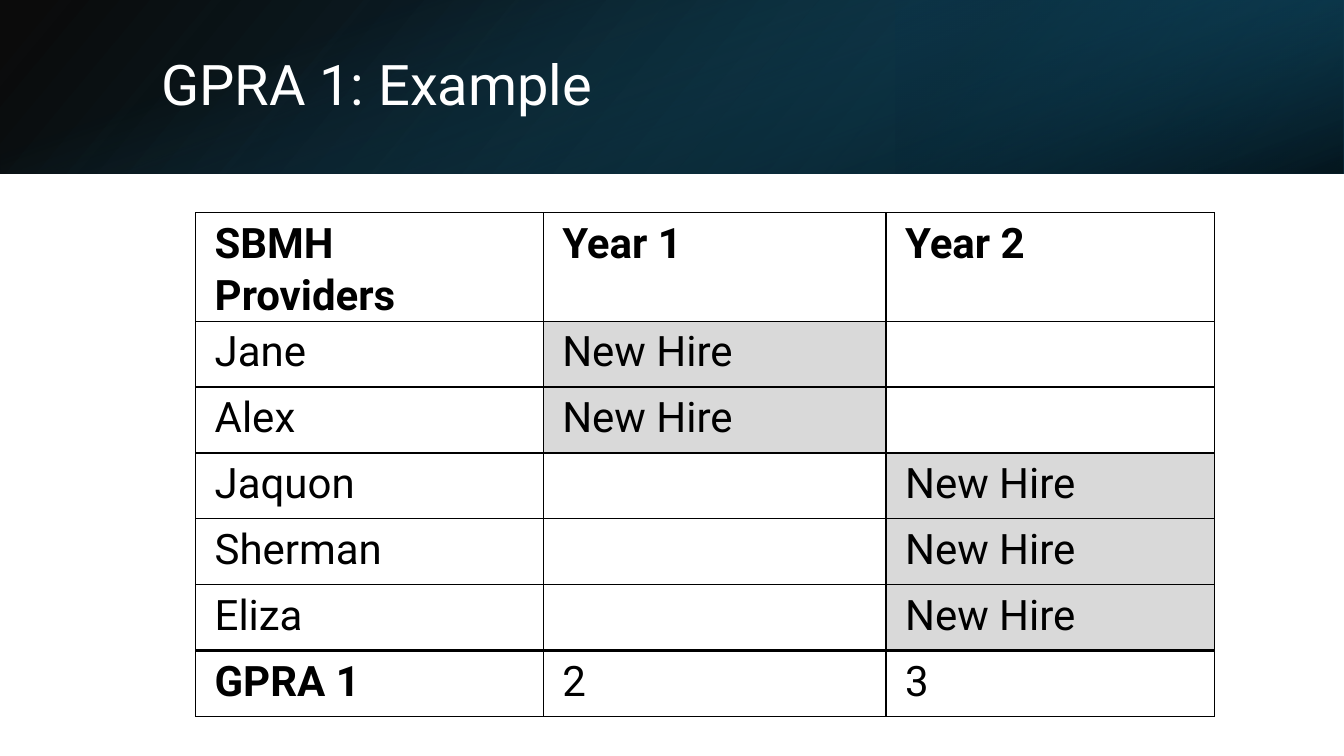
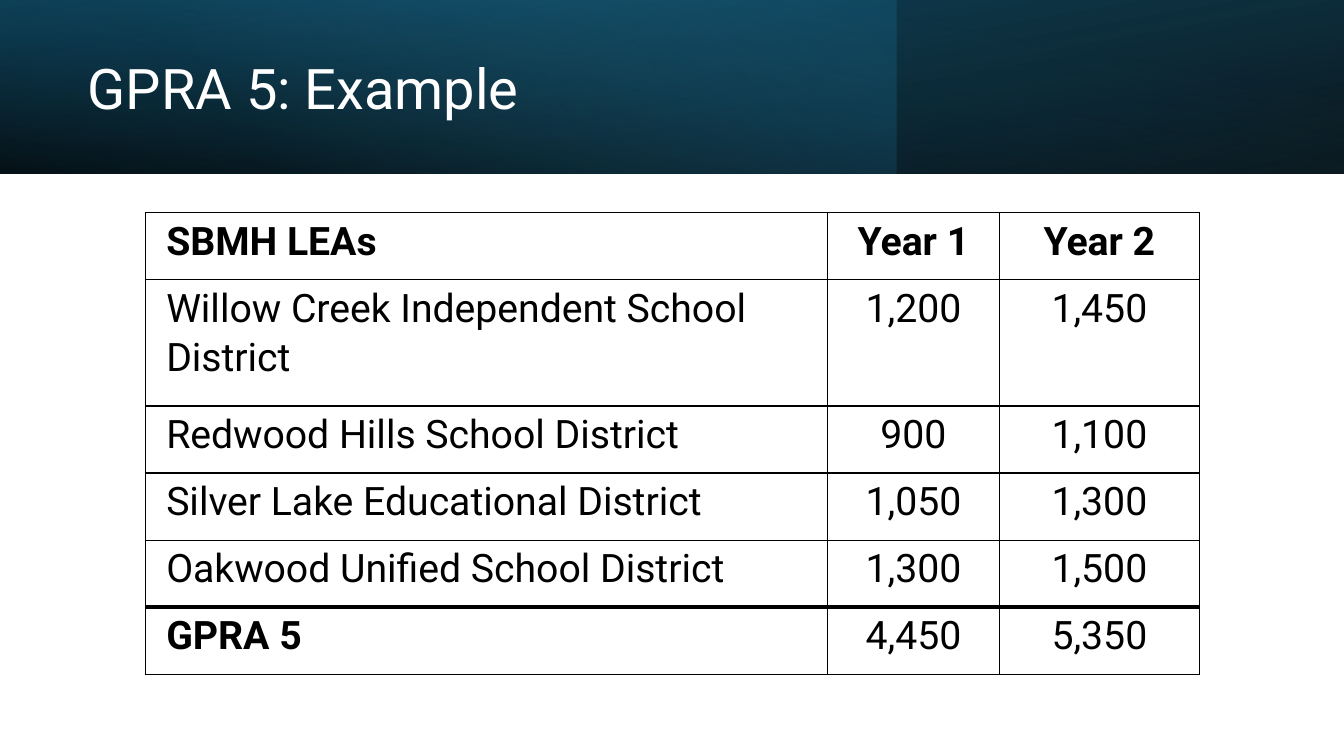
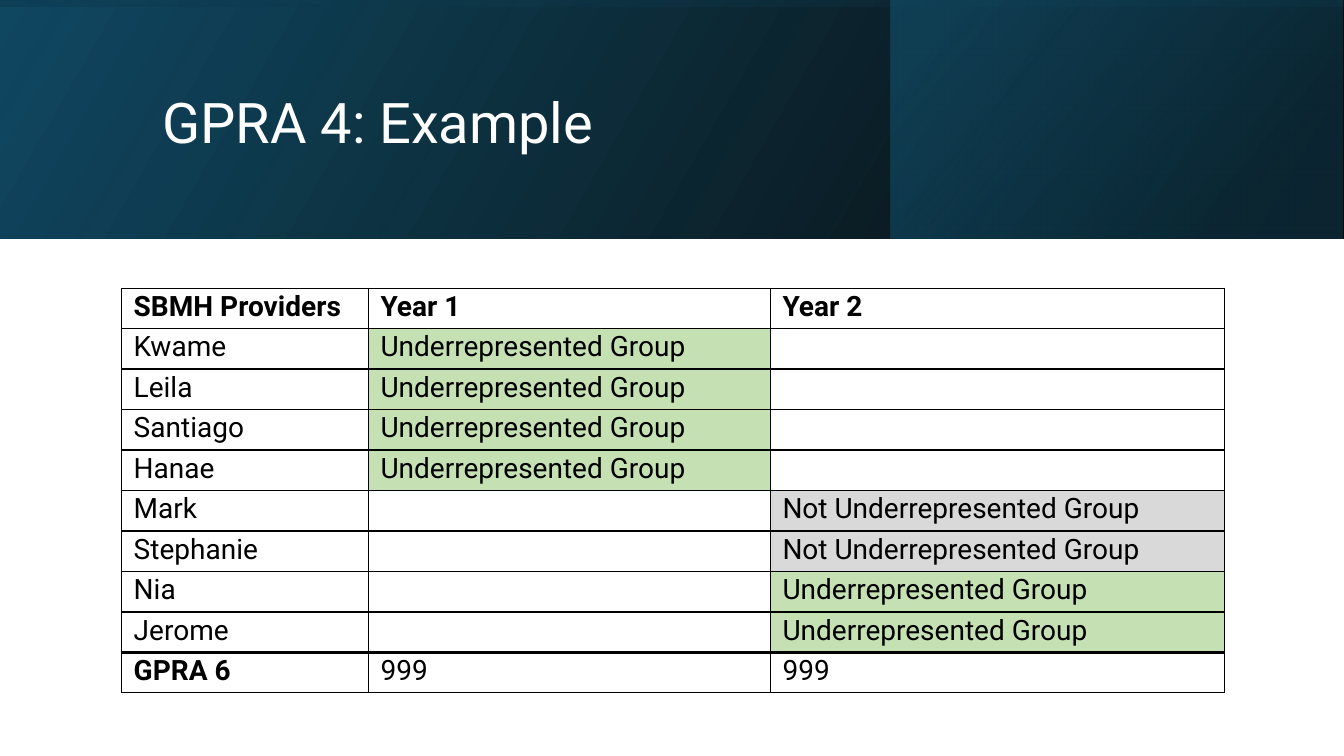
from pptx import Presentation
from pptx.dml.color import RGBColor
from pptx.enum.shapes import MSO_SHAPE as Shape
from pptx.enum.text import MSO_ANCHOR as Anchor, MSO_AUTO_SIZE as AutoSize, PP_ALIGN as Align
from pptx.oxml import parse_xml
from pptx.oxml.ns import nsdecls
from pptx.util import Cm, Pt

BLACK = RGBColor(0x00, 0x00, 0x00)
WHITE = RGBColor(0xFF, 0xFF, 0xFF)
NAVY = RGBColor(0x0B, 0x30, 0x41)
DEEP_BLUE = RGBColor(0x10, 0x48, 0x62)
TEAL = RGBColor(0x15, 0x60, 0x82)
SKY = RGBColor(0x46, 0xB1, 0xE1)
GREY = RGBColor(0xD9, 0xD9, 0xD9)
GREEN = RGBColor(0xC5, 0xE0, 0xB3)

FONT = "Roboto"
PAGE_WIDTH, PAGE_HEIGHT = 33.87, 19.05
THIN, THICK = 1, 3
CELL_FILLS = {
    "New Hire": GREY,
    "Not Underrepresented Group": GREY,
    "Underrepresented Group": GREEN,
}

# Layers: left, width, rotation, flipped, clockwise gradient angle,
# then stops as (position %, colour, opacity %). Table lengths are in cm.
PAGES = [
    dict(
        title="GPRA 1: Example", title_box=(3.81, 0.97, 27.89, 2.44), band_height=4.37,
        layers=[
            (0, PAGE_WIDTH, 0, True, 140, [(0, BLACK, 96), (100, DEEP_BLUE, 100)]),
            (22.58, 11.29, 180, True, 320, [(19, NAVY, 68), (100, TEAL, 79)]),
            (0, PAGE_WIDTH, 90, False, 340, [(23, TEAL, 0), (99, BLACK, 74)]),
        ],
        table_at=(4.93, 5.36), columns=[8.76, 8.64, 8.28], row_heights=[1.66] * 7,
        size=30, side_inset=0.48, top_inset=0.08, number_align=Align.LEFT,
        rows=[
            ("SBMH Providers", "Year 1", "Year 2"),
            ("Jane", "New Hire", ""),
            ("Alex", "New Hire", ""),
            ("Jaquon", "", "New Hire"),
            ("Sherman", "", "New Hire"),
            ("Eliza", "", "New Hire"),
            ("GPRA 1", "2", "3"),
        ],
    ),
    dict(
        title="GPRA 5: Example", title_box=(1.96, 0.69, 19.61, 3.23), band_height=4.37,
        layers=[
            (0, PAGE_WIDTH, 180, True, 100, [(0, BLACK, 96), (100, DEEP_BLUE, 100)]),
            (0, 22.58, 0, False, 140, [(0, TEAL, 41), (74, SKY, 0)]),
            (0, PAGE_WIDTH, 0, True, 260, [(0, BLACK, 63), (78, TEAL, 15)]),
        ],
        table_at=(3.66, 5.36), columns=[17.2, 4.32, 5.05],
        row_heights=[1.69, 3.18] + [1.69] * 4,
        size=28, side_inset=0.53, top_inset=0.08, number_align=Align.CENTER,
        rows=[
            ("SBMH LEAs", "Year 1", "Year 2"),
            ("Willow Creek Independent School District", "1,200", "1,450"),
            ("Redwood Hills School District", "900", "1,100"),
            ("Silver Lake Educational District", "1,050", "1,300"),
            ("Oakwood Unified School District", "1,300", "1,500"),
            ("GPRA 5", "4,450", "5,350"),
        ],
    ),
    dict(
        title="GPRA 4: Example", title_box=(3.84, 0.97, 27, 4.37), band_height=6.02,
        layers=[
            (0, PAGE_WIDTH, 0, True, 330, [(0, BLACK, 96), (100, DEEP_BLUE, 100)]),
            (22.45, 11.38, 0, True, 320, [(19, NAVY, 68), (100, TEAL, 48)]),
            (0, PAGE_WIDTH, 270, True, 350, [(23, DEEP_BLUE, 16), (99, BLACK, 45)]),
        ],
        table_at=(3.07, 7.26), columns=[6.22, 10.13, 11.43], row_heights=[1.02] * 10,
        size=20, side_inset=0.3, top_inset=0, number_align=Align.LEFT,
        rows=[
            ("SBMH Providers", "Year 1", "Year 2"),
            ("Kwame", "Underrepresented Group", ""),
            ("Leila", "Underrepresented Group", ""),
            ("Santiago", "Underrepresented Group", ""),
            ("Hanae", "Underrepresented Group", ""),
            ("Mark", "", "Not Underrepresented Group"),
            ("Stephanie", "", "Not Underrepresented Group"),
            ("Nia", "", "Underrepresented Group"),
            ("Jerome", "", "Underrepresented Group"),
            ("GPRA 6", "999", "999"),
        ],
    ),
]


def add_layer(page, band_height, left, width, rotation, flipped, angle, stops):
    """Add one gradient rectangle covering the given stretch of the title band."""
    height, top = band_height, 0
    if rotation in (90, 270):  # the unrotated frame stands upright on the same centre
        left, top = left + (width - height) / 2, (height - width) / 2
        width, height = height, width
    layer = page.shapes.add_shape(Shape.RECTANGLE, Cm(left), Cm(top), Cm(width), Cm(height))
    layer.rotation = rotation
    layer.shadow.inherit = False
    layer.line.fill.background()
    if flipped:
        layer.element.spPr.xfrm.set("flipH", "1")
    layer.fill.gradient()
    layer.fill.gradient_angle = 360 - angle
    for stop, (position, colour, _) in zip(layer.fill.gradient_stops, stops):
        stop.position = position / 100
        stop.color.rgb = colour
    for colour_node, (_, _, opacity) in zip(layer.element.xpath(".//a:gs/a:srgbClr"), stops):
        colour_node.append(parse_xml(f'<a:alpha {nsdecls("a")} val="{opacity * 1000}"/>'))
    return layer


def add_borders(cell, top, bottom):
    """Draw black borders, thin at the sides."""
    for side, weight in (("L", THIN), ("R", THIN), ("T", top), ("B", bottom)):
        cell._tc.get_or_add_tcPr().append(parse_xml(
            f'<a:ln{side} {nsdecls("a")} w="{Pt(weight)}"><a:solidFill>'
            f'<a:srgbClr val="{BLACK}"/></a:solidFill></a:ln{side}>'))


deck = Presentation()
deck.slide_width, deck.slide_height = Cm(PAGE_WIDTH), Cm(PAGE_HEIGHT)
title_only = deck.slide_layouts[5]

for content in PAGES:
    page = deck.slides.add_slide(title_only)

    # Title
    title = page.shapes.title
    title.left, title.top, title.width, title.height = map(Cm, content["title_box"])
    frame = title.text_frame
    frame.auto_size = AutoSize.NONE
    frame.vertical_anchor = Anchor.MIDDLE
    para = frame.paragraphs[0]
    para.alignment = Align.LEFT
    para.line_spacing = 0.9
    span = para.add_run()
    span.text = content["title"]
    span.font.name, span.font.size = FONT, Pt(40)
    span.font.color.rgb = WHITE

    # Gradient band behind the title
    for layer_values in content["layers"]:
        layer = add_layer(page, content["band_height"], *layer_values)
        title.element.addprevious(layer.element)

    # Table
    rows, columns, heights = content["rows"], content["columns"], content["row_heights"]
    left, top = content["table_at"]
    table = page.shapes.add_table(len(rows), len(columns), Cm(left), Cm(top),
                                  Cm(sum(columns)), Cm(sum(heights))).table
    table.first_row = table.horz_banding = False
    for column, width in zip(table.columns, columns):
        column.width = Cm(width)
    for row, height in zip(table.rows, heights):
        row.height = Cm(height)

    total_row = len(rows) - 1
    for row_index, row in enumerate(rows):
        for column_index, text in enumerate(row):
            cell = table.cell(row_index, column_index)
            cell.margin_left = cell.margin_right = Cm(content["side_inset"])
            cell.margin_top, cell.margin_bottom = Cm(content["top_inset"]), 0
            add_borders(cell, THICK if row_index == total_row else THIN,
                        THICK if row_index == total_row - 1 else THIN)
            if text in CELL_FILLS:
                cell.fill.solid()
                cell.fill.fore_color.rgb = CELL_FILLS[text]
            else:
                cell.fill.background()
            if not text:
                continue
            para = cell.text_frame.paragraphs[0]
            para.line_spacing = 1.07
            para.alignment = content["number_align"] if column_index else Align.LEFT
            span = para.add_run()
            span.text = text
            span.font.name, span.font.size = FONT, Pt(content["size"])
            span.font.bold = row_index == 0 or (row_index == total_row and column_index == 0)
            span.font.color.rgb = BLACK

deck.save("out.pptx")
